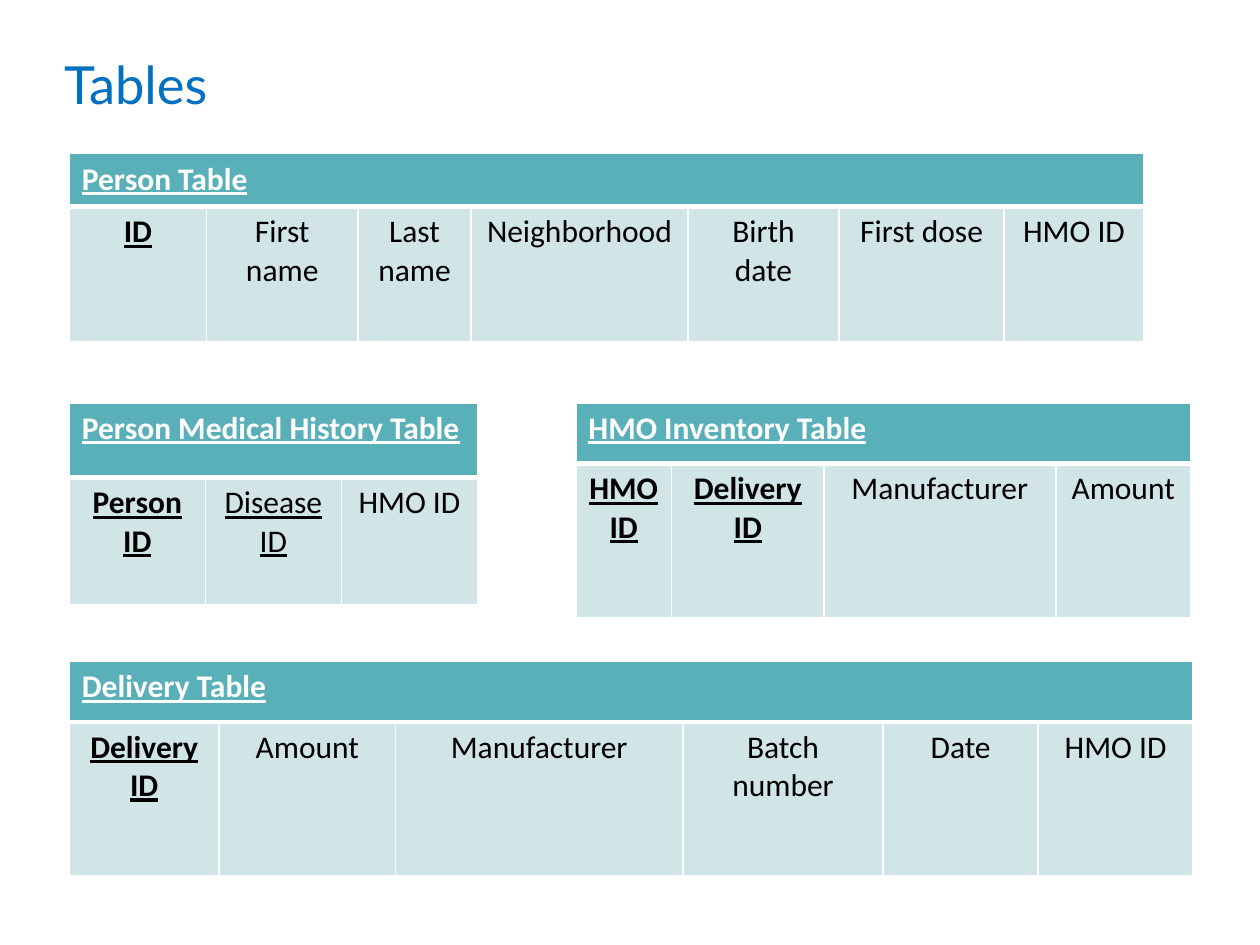
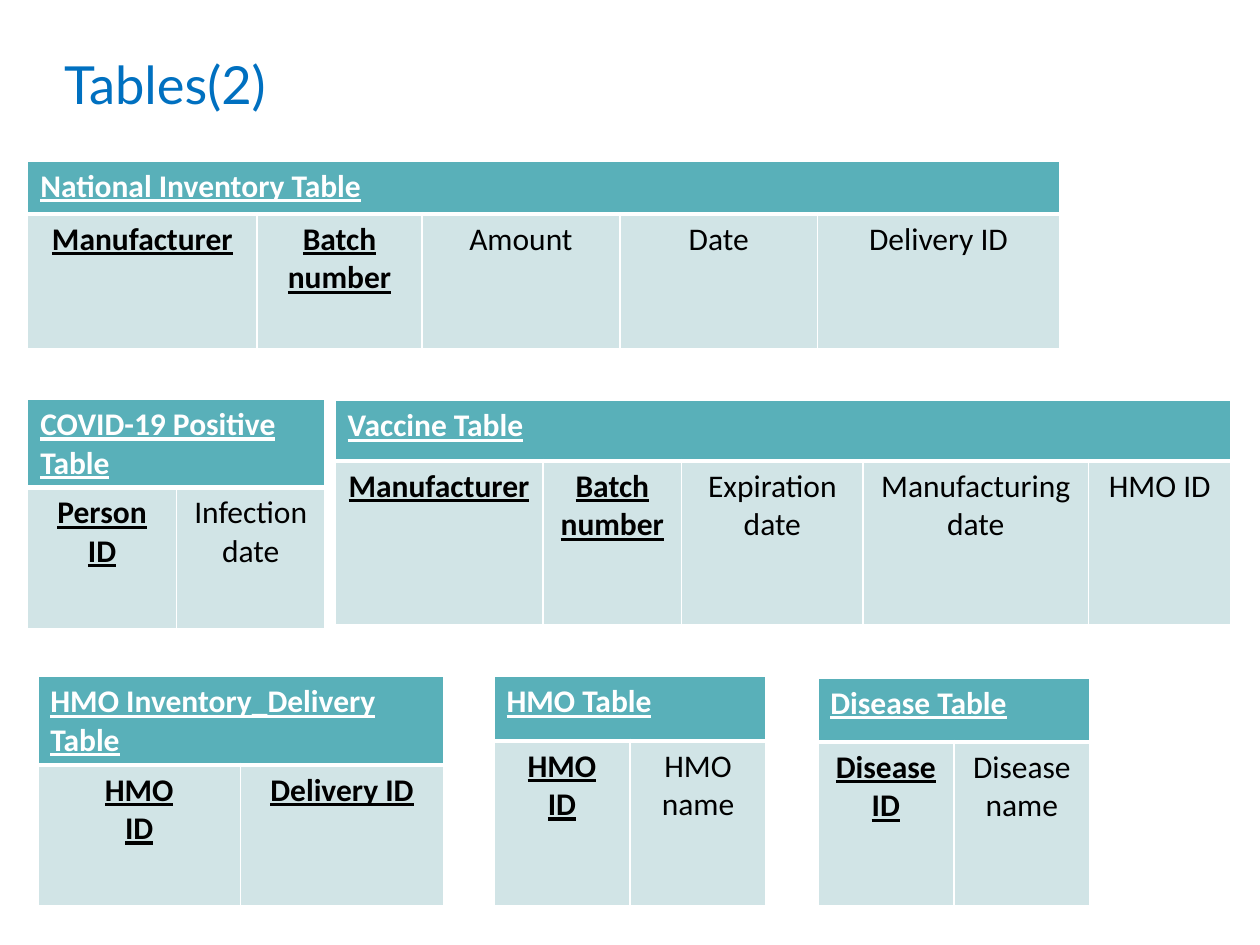
import pptx
import pptx.dml.color
import pptx.enum.text
import pptx.oxml
import pptx.oxml.ns
import pptx.util

Inches, Pt = pptx.util.Inches, pptx.util.Pt
RGBColor = pptx.dml.color.RGBColor
PP_ALIGN = pptx.enum.text.PP_ALIGN

TITLE_BLUE = RGBColor(0x00, 0x70, 0xC0)
TEAL = RGBColor(0x59, 0xB0, 0xB9)
PALE_TEAL = RGBColor(0xD1, 0xE4, 0xE6)
WHITE = RGBColor(0xFF, 0xFF, 0xFF)
BLACK = RGBColor(0x00, 0x00, 0x00)

# Font styles of a column name: (bold, underline)
KEY, PART_KEY, PLAIN = (True, True), (False, True), (False, False)
THIN, THICK = 1, 3

# Each table: name, (left, top), (header height, body height),
# columns as (name, width, style); all lengths in inches
SLIDES = [
    ("Tables", [
        ("Person Table", (0.55, 1.22), (0.42, 1.07), [
            ("ID", 1.09, KEY), ("First name", 1.2, PLAIN),
            ("Last name", 0.9, PLAIN), ("Neighborhood", 1.72, PLAIN),
            ("Birth date", 1.2, PLAIN), ("First dose", 1.31, PLAIN),
            ("HMO ID", 1.11, PLAIN)]),
        ("Person Medical History Table", (0.55, 3.2), (0.59, 1.01), [
            ("Person\nID", 1.08, KEY), ("Disease\nID", 1.08, PART_KEY),
            ("HMO ID", 1.08, PLAIN)]),
        ("HMO Inventory Table", (4.57, 3.2), (0.48, 1.22), [
            ("HMO\nID", 0.76, KEY), ("Delivery ID", 1.21, KEY),
            ("Manufacturer", 1.84, PLAIN), ("Amount", 1.07, PLAIN)]),
        ("Delivery Table", (0.55, 5.25), (0.48, 1.22), [
            ("Delivery\nID", 1.19, KEY), ("Amount", 1.4, PLAIN),
            ("Manufacturer", 2.28, PLAIN), ("Batch number", 1.59, PLAIN),
            ("Date", 1.23, PLAIN), ("HMO ID", 1.23, PLAIN)]),
    ]),
    ("Tables(2)", [
        ("National Inventory Table", (0.22, 1.28), (0.42, 1.07), [
            ("Manufacturer", 1.82, KEY), ("Batch number", 1.31, KEY),
            ("Amount", 1.57, PLAIN), ("Date", 1.57, PLAIN),
            ("Delivery ID", 1.92, PLAIN)]),
        ("COVID-19 Positive Table", (0.22, 3.17), (0.7, 1.12), [
            ("Person\nID", 1.18, KEY), ("Infection date", 1.18, PLAIN)]),
        ("Vaccine Table", (2.66, 3.18), (0.48, 1.3), [
            ("Manufacturer", 1.65, KEY), ("Batch number", 1.1, KEY),
            ("Expiration date", 1.44, PLAIN),
            ("Manufacturing date", 1.79, PLAIN), ("HMO ID", 1.13, PLAIN)]),
        ("HMO Inventory_Delivery Table", (0.3, 5.37), (0.7, 1.12), [
            ("HMO\nID", 1.61, KEY), ("Delivery ID", 1.61, KEY)]),
        ("HMO Table", (3.92, 5.37), (0.51, 1.31), [
            ("HMO\nID", 1.08, KEY), ("HMO\nname", 1.08, PLAIN)]),
        ("Disease Table", (6.49, 5.38), (0.51, 1.3), [
            ("Disease\nID", 1.08, KEY), ("Disease\nname", 1.08, PLAIN)]),
    ]),
]


def style_text(tf, font, size, color, style=PLAIN, align=PP_ALIGN.LEFT):
    for p in tf.paragraphs:
        p.alignment = align
        for r in p.runs:
            r.font.name, r.font.size = font, Pt(size)
            r.font.color.rgb = color
            r.font.bold, r.font.underline = style


def add_title(s, text):
    tf = s.shapes.add_textbox(
        Inches(0.41), Inches(0.29), Inches(9.19), Inches(0.75)).text_frame
    tf.word_wrap = True
    tf.vertical_anchor = pptx.enum.text.MSO_ANCHOR.MIDDLE
    tf.text = text
    style_text(tf, "Lato", 30, TITLE_BLUE)


def set_borders(cell, top, bottom):
    """Draw white borders; the top and bottom widths are in points."""
    tc_pr = cell._tc.get_or_add_tcPr()
    for side, width in (("L", THIN), ("R", THIN), ("T", top), ("B", bottom)):
        tc_pr.append(pptx.oxml.parse_xml(
            f'<a:ln{side} {pptx.oxml.ns.nsdecls("a")} w="{Pt(width)}">'
            f'<a:solidFill><a:srgbClr val="{WHITE}"/></a:solidFill>'
            f'</a:ln{side}>'))


def add_schema_table(s, name, position, heights, columns):
    left, top = map(Inches, position)
    width = Inches(sum(w for _, w, _ in columns))
    table = s.shapes.add_table(2, len(columns), left, top, width,
                               Inches(sum(heights))).table
    table.first_row = table.horz_banding = False
    for row, height in zip(table.rows, heights):
        row.height = Inches(height)
    for i, (column, column_width, style) in enumerate(columns):
        table.columns[i].width = Inches(column_width)
        header, body = table.cell(0, i), table.cell(1, i)
        set_borders(header, THIN, THICK)
        set_borders(body, THICK, THIN)
        for cell, fill in ((header, TEAL), (body, PALE_TEAL)):
            cell.fill.solid()
            cell.fill.fore_color.rgb = fill
        body.text_frame.text = column
        style_text(body.text_frame, "Calibri", 18, BLACK, style,
                   PP_ALIGN.CENTER)
    title = table.cell(0, 0)
    title.merge(table.cell(0, len(columns) - 1))
    title.text_frame.text = name
    style_text(title.text_frame, "Calibri", 18, WHITE, KEY)


def main():
    prs = pptx.Presentation()
    prs.slide_width, prs.slide_height = Inches(10), Inches(7.5)
    for title, tables in SLIDES:
        s = prs.slides.add_slide(prs.slide_layouts[6])
        add_title(s, title)
        for table in tables:
            add_schema_table(s, *table)
    prs.save("out.pptx")


if __name__ == "__main__":
    main()
